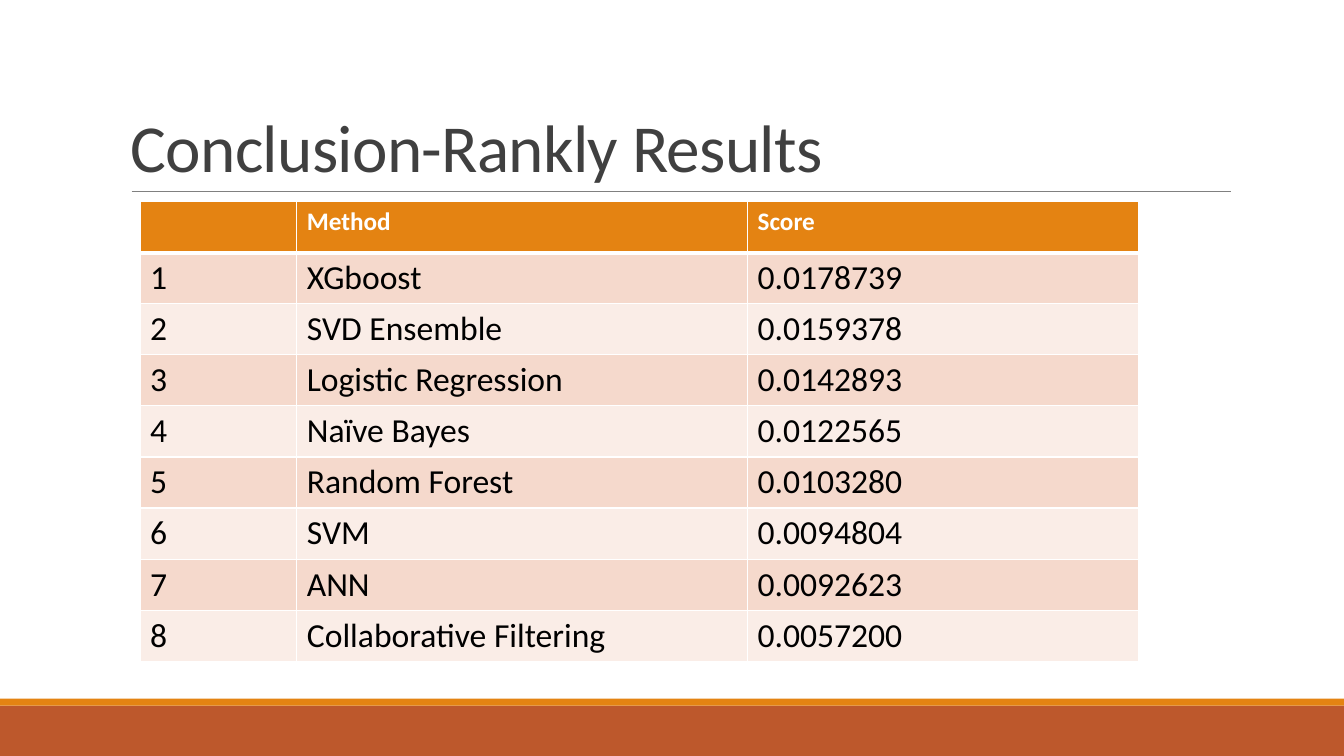
from lxml import etree
from pptx import Presentation
from pptx import util as u
from pptx.dml.color import RGBColor
from pptx.enum import shapes, text
from pptx.oxml.ns import qn

Pt = u.Pt


def rgb(value):
    return RGBColor.from_string(value)


def add_text(tf, content, size, color, bold=False):
    p = tf.paragraphs[0]
    r = p.add_run()
    r.text = content
    r.font.color.rgb = rgb(color)
    for name, value in {"name": "Calibri", "size": Pt(size), "bold": bold}.items():
        setattr(r.font, name, value)
    return p, r


prs = Presentation()
prs.slide_width, prs.slide_height = Pt(960), Pt(540)
s = prs.slides.add_slide(prs.slide_layouts[6])

for top, height, color in [(504, 36, "BD582C"), (499, 5, "E48312")]:
    sp = s.shapes.add_shape(shapes.MSO_SHAPE.RECTANGLE, 0, Pt(top), Pt(960), Pt(height))
    sp.shadow.inherit = False
    sp.fill.solid()
    sp.fill.fore_color.rgb = rgb(color)
    sp.line.fill.background()

rule = s.shapes.add_connector(shapes.MSO_CONNECTOR.STRAIGHT, Pt(94), Pt(136.8), Pt(879), Pt(136.8))
rule.line.color.rgb = rgb("808080")
rule.line.width = Pt(0.5)
etree.SubElement(rule._element.spPr, qn("a:effectLst"))

title = s.shapes.add_textbox(Pt(86.4), Pt(22.5), Pt(792), Pt(114.3))
tf = title.text_frame
for name, value in {"word_wrap": True, "vertical_anchor": text.MSO_ANCHOR.BOTTOM}.items():
    setattr(tf, name, value)
p, r = add_text(tf, "Conclusion-Rankly Results", 48, "404040")
p.line_spacing = 0.85
r.font._element.set("spc", "-50")

results = [
    ("XGboost", "0.0178739"),
    ("SVD Ensemble", "0.0159378"),
    ("Logistic Regression", "0.0142893"),
    ("Naïve Bayes", "0.0122565"),
    ("Random Forest", "0.0103280"),
    ("SVM", "0.0094804"),
    ("ANN", "0.0092623"),
    ("Collaborative Filtering", "0.0057200"),
]
rows = [("", "Method", "Score")]
rows += [(str(rank), *result) for rank, result in enumerate(results, 1)]
widths = [112, 322, 279.5]
row_height = 36.5

table = s.shapes.add_table(
    len(rows), len(widths), Pt(100), Pt(144), Pt(sum(widths)), Pt(row_height * len(rows))
).table
for column, width in zip(table.columns, widths):
    column.width = Pt(width)

for i, row in enumerate(rows):
    table.rows[i].height = Pt(row_height)
    header = i == 0
    fill = "E48312" if header else ("FAEDE7", "F5D9CC")[i % 2]
    size, color = (18, "FFFFFF") if header else (24, "000000")
    for j, content in enumerate(row):
        cell = table.cell(i, j)
        tcPr = cell._tc.get_or_add_tcPr()
        for side in ("lnL", "lnR", "lnT", "lnB"):
            thick = (i == 0 and side == "lnB") or (i == 1 and side == "lnT")
            ln = etree.SubElement(tcPr, qn("a:" + side), w=str(Pt(3 if thick else 1)))
            solid = etree.SubElement(ln, qn("a:solidFill"))
            etree.SubElement(solid, qn("a:srgbClr"), val="FFFFFF")
        cell.fill.solid()
        cell.fill.fore_color.rgb = rgb(fill)
        if content:
            add_text(cell.text_frame, content, size, color, header)

prs.save("out.pptx")
